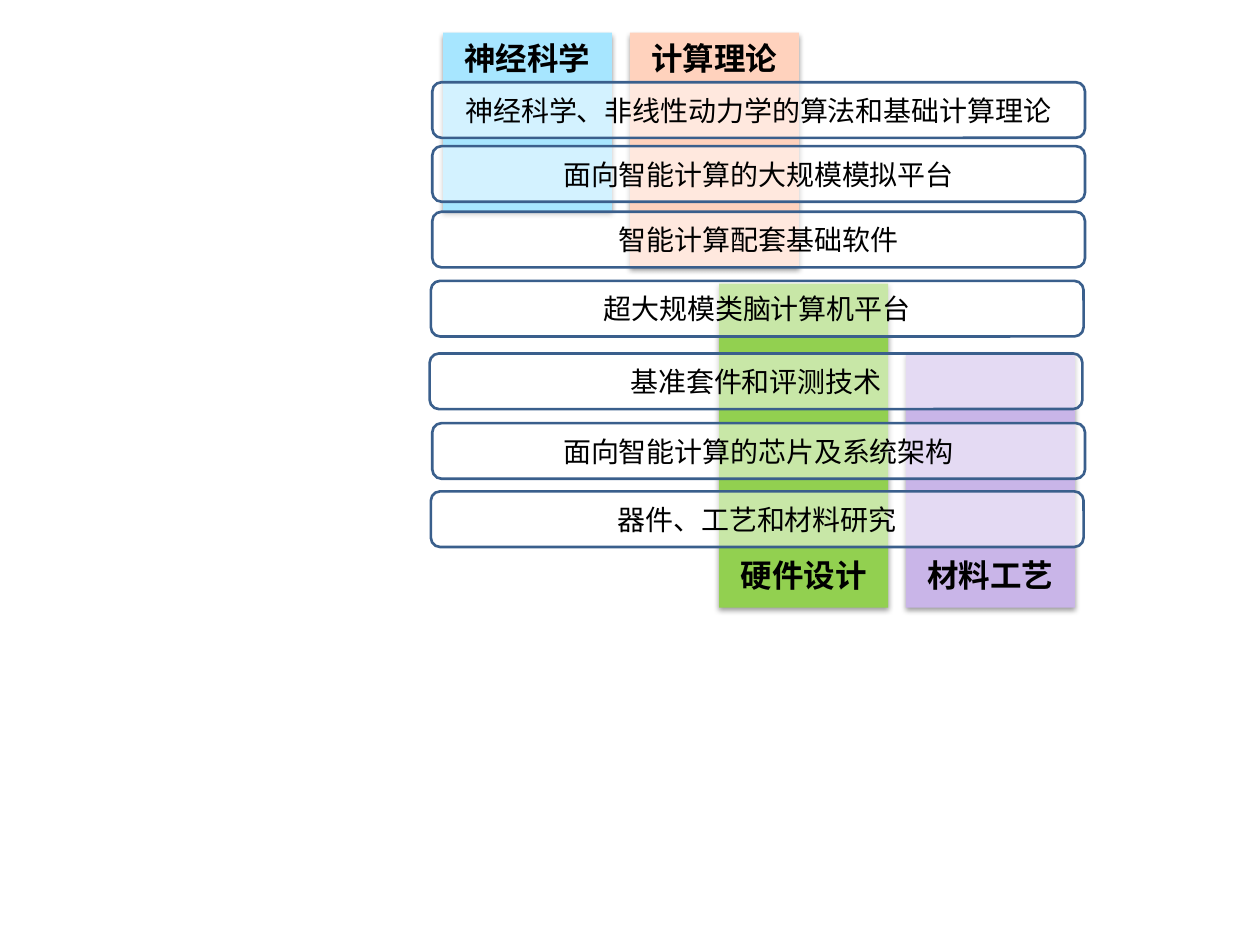
from dataclasses import dataclass

from lxml.etree import SubElement
from pptx import Presentation
from pptx.dml.color import RGBColor
from pptx.enum.shapes import MSO_SHAPE
from pptx.enum.text import MSO_ANCHOR, MSO_AUTO_SIZE, PP_ALIGN
from pptx.oxml.ns import qn
from pptx.util import Pt


@dataclass(frozen=True)
class Theme:
    font: str = "Noto Sans CJK SC"
    ink: str = "000000"
    bar_fill: str = "FFFFFF"
    bar_line: str = "3A5F8C"
    neuroscience: str = "A7E6FF"
    theory: str = "FFD2BD"
    hardware: str = "92D050"
    materials: str = "C9B5E8"
    topic_size: float = 16
    heading_size: float = 18


@dataclass(frozen=True)
class Discipline:
    name: str
    colour: str
    left: float
    top: float
    height: float
    heading_top: float


@dataclass(frozen=True)
class Topic:
    name: str
    left: float
    top: float


THEME = Theme()
COLUMN_WIDTH = 96.5
HEADING_HEIGHT = 29
BAR_WIDTH, BAR_HEIGHT = 373, 31.8
UPPER, LOWER = 18.7, 314

DISCIPLINES = [
    Discipline("神经科学", THEME.neuroscience, 253.2, UPPER, 102.2, UPPER),
    Discipline("计算理论", THEME.theory, 360, UPPER, 134, UPPER),
    Discipline("硬件设计", THEME.hardware, 411, 162, 185.2, LOWER),
    Discipline("材料工艺", THEME.materials, 517.7, 202, 145.2, LOWER),
]
TOPICS = [
    Topic("神经科学、非线性动力学的算法和基础计算理论", 247, 47),
    Topic("面向智能计算的大规模模拟平台", 247, 83.5),
    Topic("智能计算配套基础软件", 247, 121),
    Topic("超大规模类脑计算机平台", 246.2, 160.5),
    Topic("基准套件和评测技术", 245.5, 202),
    Topic("面向智能计算的芯片及系统架构", 247, 241.8),
    Topic("器件、工艺和材料研究", 246.2, 280.8),
]


def apply(target, values: dict) -> None:
    for name, value in values.items():
        setattr(target, name, value)


def write(box, text: str, size: float, bold: bool, frame_format: dict) -> None:
    apply(box.text_frame, {"word_wrap": True, **frame_format})
    para = box.text_frame.paragraphs[0]
    para.alignment = PP_ALIGN.CENTER
    span = para.add_run()
    span.text = text
    apply(span.font, {"size": Pt(size), "bold": bold, "name": THEME.font})
    span.font.color.rgb = RGBColor.from_string(THEME.ink)
    # East Asian characters take their own typeface entry
    SubElement(span.font._element, qn("a:ea"), typeface=THEME.font)


def add_panel(page, kind, left: float, top: float, width: float,
              height: float, colour: str):
    panel = page.shapes.add_shape(
        kind, Pt(left), Pt(top), Pt(width), Pt(height))
    panel.shadow.inherit = False
    panel.fill.solid()
    panel.fill.fore_color.rgb = RGBColor.from_string(colour)
    return panel


def add_column(page, item: Discipline) -> None:
    column = add_panel(page, MSO_SHAPE.ROUNDED_RECTANGLE, item.left, item.top,
                       COLUMN_WIDTH, item.height, item.colour)
    column.adjustments[0] = 0
    column.line.fill.background()
    # Soft shadow straight below
    effects = column._element.spPr.find(qn("a:effectLst"))
    shadow = SubElement(effects, qn("a:outerShdw"), blurRad=str(Pt(3.1)),
                        dist=str(Pt(1.6)), dir="5400000", rotWithShape="0")
    black = SubElement(shadow, qn("a:srgbClr"), val=THEME.ink)
    SubElement(black, qn("a:alpha"), val="38000")


def add_bar(page, topic: Topic) -> None:
    bar = add_panel(page, MSO_SHAPE.ROUNDED_RECTANGLE, topic.left, topic.top,
                    BAR_WIDTH, BAR_HEIGHT, THEME.bar_fill)
    # Half-transparent fill lets the columns show through
    colour = bar._element.spPr.find(qn("a:solidFill"))[0]
    SubElement(colour, qn("a:alpha"), val="50000")
    bar.line.color.rgb = RGBColor.from_string(THEME.bar_line)
    bar.line.width = Pt(1.5)
    write(bar, topic.name, THEME.topic_size, False,
          {"vertical_anchor": MSO_ANCHOR.MIDDLE})


def add_heading(page, item: Discipline) -> None:
    box = page.shapes.add_textbox(Pt(item.left), Pt(item.heading_top),
                                  Pt(COLUMN_WIDTH), Pt(HEADING_HEIGHT))
    write(box, item.name, THEME.heading_size, True,
          {"auto_size": MSO_AUTO_SIZE.SHAPE_TO_FIT_TEXT})


deck = Presentation()
apply(deck, {"slide_width": Pt(720), "slide_height": Pt(540)})
page = deck.slides.add_slide(deck.slide_layouts[6])

# Columns behind, topic bars across them, headings on top
for discipline in DISCIPLINES:
    add_column(page, discipline)
for topic in TOPICS:
    add_bar(page, topic)
for discipline in DISCIPLINES:
    add_heading(page, discipline)

deck.save("out.pptx")
